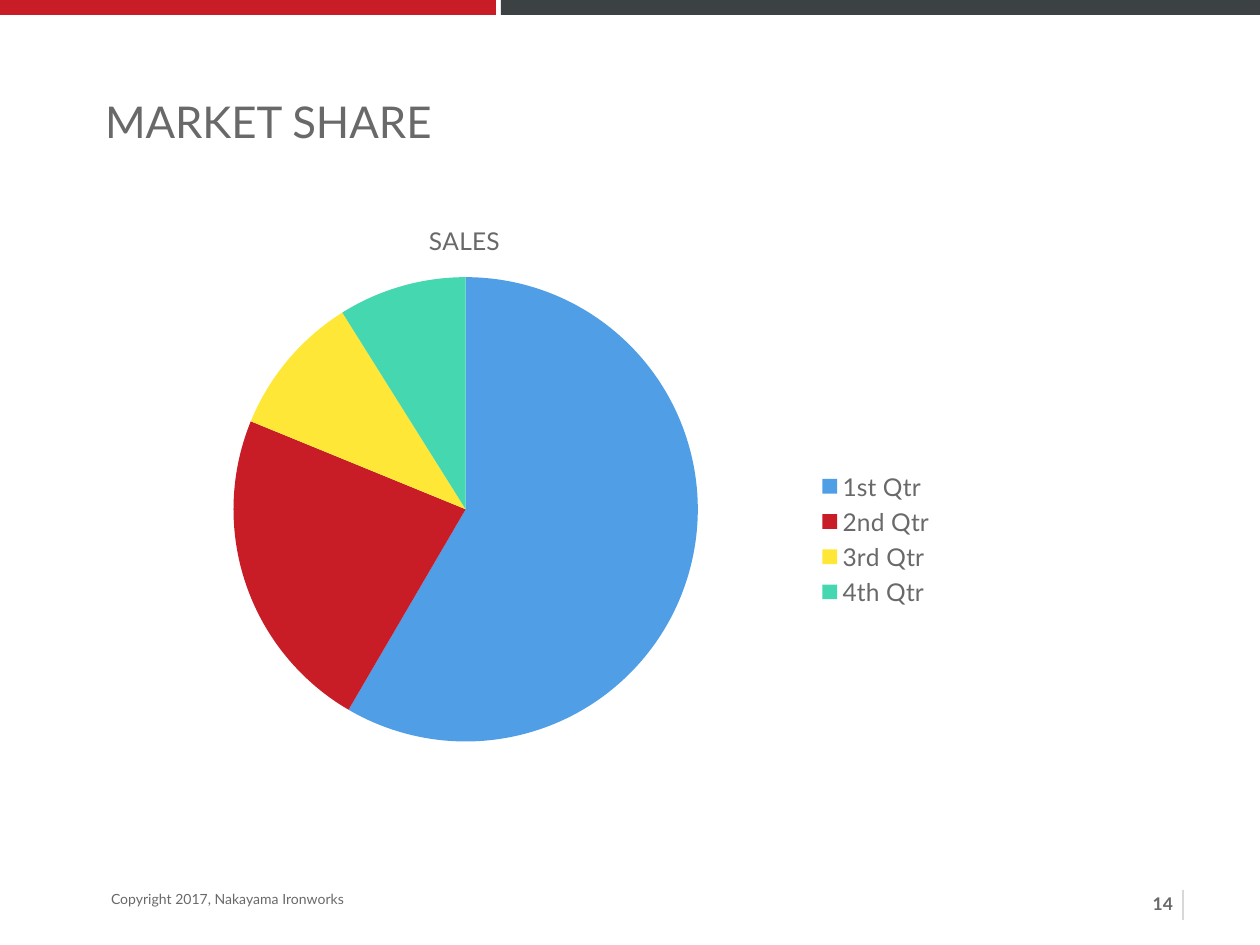
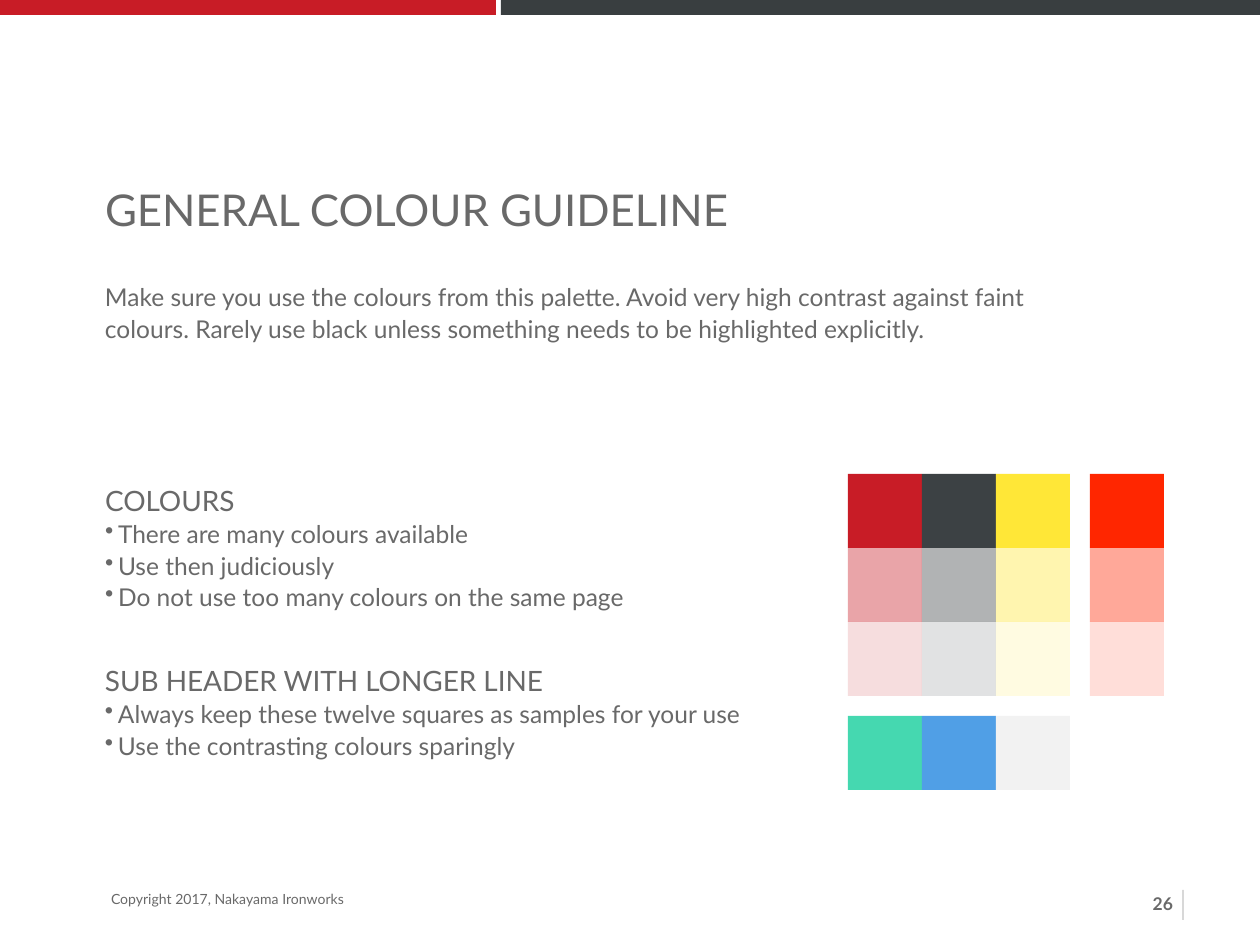
import pptx
import pptx.chart.data
import pptx.dml.color
import pptx.enum.chart
import pptx.enum.shapes
import pptx.enum.text
import pptx.oxml
import pptx.oxml.ns
import pptx.util
from dataclasses import dataclass
from lxml import etree

px = 914400 // 126
rgb = pptx.dml.color.RGBColor.from_string
Pt = pptx.util.Pt
qn = pptx.oxml.ns.qn
align = pptx.enum.text.PP_ALIGN
fit = pptx.enum.text.MSO_AUTO_SIZE


@dataclass(frozen=True)
class Theme:
    font: str = "Lato"
    text: str = "696969"
    red: str = "C81C26"
    dark: str = "3C4144"
    slate: str = "393E40"
    gold: str = "FFE737"
    mint: str = "45D8B0"
    blue: str = "509FE6"
    flame: str = "FF2600"
    pale: str = "F2F2F2"
    title: int = 25
    head: int = 16
    body: int = 14
    page: int = 10
    foot: int = 8


theme = Theme()


def block(slide, left, top, wide, high, color, alpha=100):
    """Draw a plain rectangle; alpha is its opacity in percent."""
    shape = slide.shapes.add_shape(
        pptx.enum.shapes.MSO_SHAPE.RECTANGLE,
        left * px, top * px, wide * px, high * px)
    shape.shadow.inherit = False
    shape.fill.solid()
    shape.fill.fore_color.rgb = rgb(color)
    shape.line.fill.background()
    if alpha < 100:
        tint = shape.element.spPr.find(".//" + qn("a:srgbClr"))
        etree.SubElement(tint, qn("a:alpha"), val=str(alpha * 1000))


def write(shape, place, lines, pad=0, wrap=True, grow=True):
    """Place a text shape and fill it; a line is (text, size, spacing, bullet)."""
    shape.left, shape.top, shape.width, shape.height = [n * px for n in place]
    frame = shape.text_frame
    frame.word_wrap = wrap
    frame.auto_size = fit.SHAPE_TO_FIT_TEXT if grow else fit.NONE
    frame.vertical_anchor = pptx.enum.text.MSO_ANCHOR.TOP
    frame.margin_left = frame.margin_right = pad * px
    frame.margin_top = frame.margin_bottom = pad * px
    for i, (text, size, space, dot) in enumerate(lines):
        para = frame.add_paragraph() if i else frame.paragraphs[0]
        para.text = text
        para.alignment = align.LEFT
        para.line_spacing = space
        if dot:
            props = para._p.get_or_add_pPr()
            props.set("marL", str(13 * px))
            props.set("indent", str(-13 * px))
            etree.SubElement(props, qn("a:buChar"), char="•")
        para.font.name = theme.font
        para.font.size = Pt(size)
        para.font.color.rgb = rgb(theme.text)


deck = pptx.Presentation()
deck.slide_width = pptx.util.Inches(10)
deck.slide_height = pptx.util.Inches(7.5)

# Shared bands, title and footer
pages = []
for name, top, num, band in [
    ("MARKET SHARE", 95, 14, theme.dark),
    ("GENERAL COLOUR GUIDELINE", 183, 26, theme.slate),
]:
    slide = deck.slides.add_slide(deck.slide_layouts[5])
    pages.append(slide)
    block(slide, 0, 0, 496, 15, theme.red)
    block(slide, 501, 0, 759, 15, band)
    write(slide.shapes.title, (105, top, 966, 53),
          [(name, theme.title, 1.0, False)], grow=False)
    foot = slide.shapes.add_textbox(0, 0, 0, 0)
    write(foot, (105, 885, 247, 30),
          [("Copyright 2017, Nakayama Ironworks", theme.foot, 1.0, False)],
          pad=6, wrap=False)
    page = slide.shapes.add_textbox(0, 0, 0, 0)
    write(page, (1145, 887, 34, 34), [(str(num), theme.page, 1.0, False)],
          pad=6, wrap=False)
    para = page.text_frame.paragraphs[0]
    para.alignment = align.RIGHT
    para.font.bold = True
    rule = slide.shapes.add_connector(
        pptx.enum.shapes.MSO_CONNECTOR.STRAIGHT,
        1183 * px, 920 * px, 1183 * px, 890 * px)
    rule.line.width = Pt(1)
    rule.line.color.rgb = rgb(theme.text)
    props = rule.element.spPr
    etree.SubElement(props.find(".//" + qn("a:srgbClr")), qn("a:alpha"), val="25000")
    etree.SubElement(props, qn("a:effectLst"))

share, guide = pages

# Market share: quarterly sales pie
data = pptx.chart.data.CategoryChartData()
data.categories = ["1st Qtr", "2nd Qtr", "3rd Qtr", "4th Qtr"]
data.add_series("Series 1", (59, 23, 10, 9))
chart = share.shapes.add_chart(
    pptx.enum.chart.XL_CHART_TYPE.PIE,
    222 * px, 207 * px, 750 * px, 540 * px, data).chart
chart.font.name = theme.font
chart.font.size = Pt(theme.body)
chart.font.color.rgb = rgb(theme.text)
chart.has_title = True
chart.chart_title.text_frame.text = "SALES"
font = chart.chart_title.text_frame.paragraphs[0].font
font.name = theme.font
font.size = Pt(theme.body)
font.bold = False
font.color.rgb = rgb(theme.text)
chart.has_legend = True
chart.legend.position = pptx.enum.chart.XL_LEGEND_POSITION.RIGHT
chart.legend.include_in_layout = True
plot = chart.plots[0]
plot.vary_by_categories = True
for i, color in enumerate([theme.blue, theme.red, theme.gold, theme.mint]):
    fill = plot.series[0].points[i].format.fill
    fill.solid()
    fill.fore_color.rgb = rgb(color)

# Fixed places, as fractions of the chart area
for part, spots in [
    ("title", {"x": 0.27, "y": 0.02}),
    ("plotArea", {"x": 0.01, "y": 0.13, "w": 0.63, "h": 0.86}),
    ("legend", {"x": 0.79, "y": 0.48}),
]:
    node = chart.element.find(f"{qn('c:chart')}/{qn('c:' + part)}")
    place = node.find(qn("c:layout"))
    if place is None:
        place = pptx.oxml.parse_xml(
            '<c:layout xmlns:c="http://schemas.openxmlformats.org/drawingml/2006/chart"/>')
        node.insert(0, place)
    hand = etree.SubElement(place, qn("c:manualLayout"))
    if part == "plotArea":
        etree.SubElement(hand, qn("c:layoutTarget"), val="inner")
    for axis in "xy":
        etree.SubElement(hand, qn(f"c:{axis}Mode"), val="edge")
    for key, val in spots.items():
        etree.SubElement(hand, qn("c:" + key), val=str(val))

# Colour guideline: advice on the left
intro = ("Make sure you use the colours from this palette. Avoid very high contrast "
         "against faint colours. Rarely use black unless something needs to be "
         "highlighted explicitly.")
write(guide.shapes.add_textbox(0, 0, 0, 0), (105, 280, 935, 62),
      [(intro, theme.body, Pt(18), False)])
for place, head, tips in [
    ((105, 450, 640, 160), "COLOURS", [
        "There are many colours available",
        "Use then judiciously",
        "Do not use too many colours on the same page"]),
    ((105, 630, 735, 129), "SUB HEADER WITH LONGER LINE", [
        "Always keep these twelve squares as samples for your use",
        "Use the contrasting colours sparingly"]),
]:
    lines = [(head, theme.head, 2.0, False)]
    lines += [(tip, theme.body, Pt(18), True) for tip in tips]
    write(guide.shapes.add_textbox(0, 0, 0, 0), place, lines)

# Swatches: three strengths of each main colour, then the accents
side, gap, left, top = 74, 20, 848, 474
for col, color in enumerate([theme.red, theme.dark, theme.gold, theme.flame]):
    x = left + col * side + (gap if col == 3 else 0)
    for row, alpha in enumerate([100, 40, 15]):
        block(guide, x, top + row * side, side, side, color, alpha)
for col, color in enumerate([theme.mint, theme.blue, theme.pale]):
    block(guide, left + col * side, top + 3 * side + gap, side, side, color)

deck.save("out.pptx")
